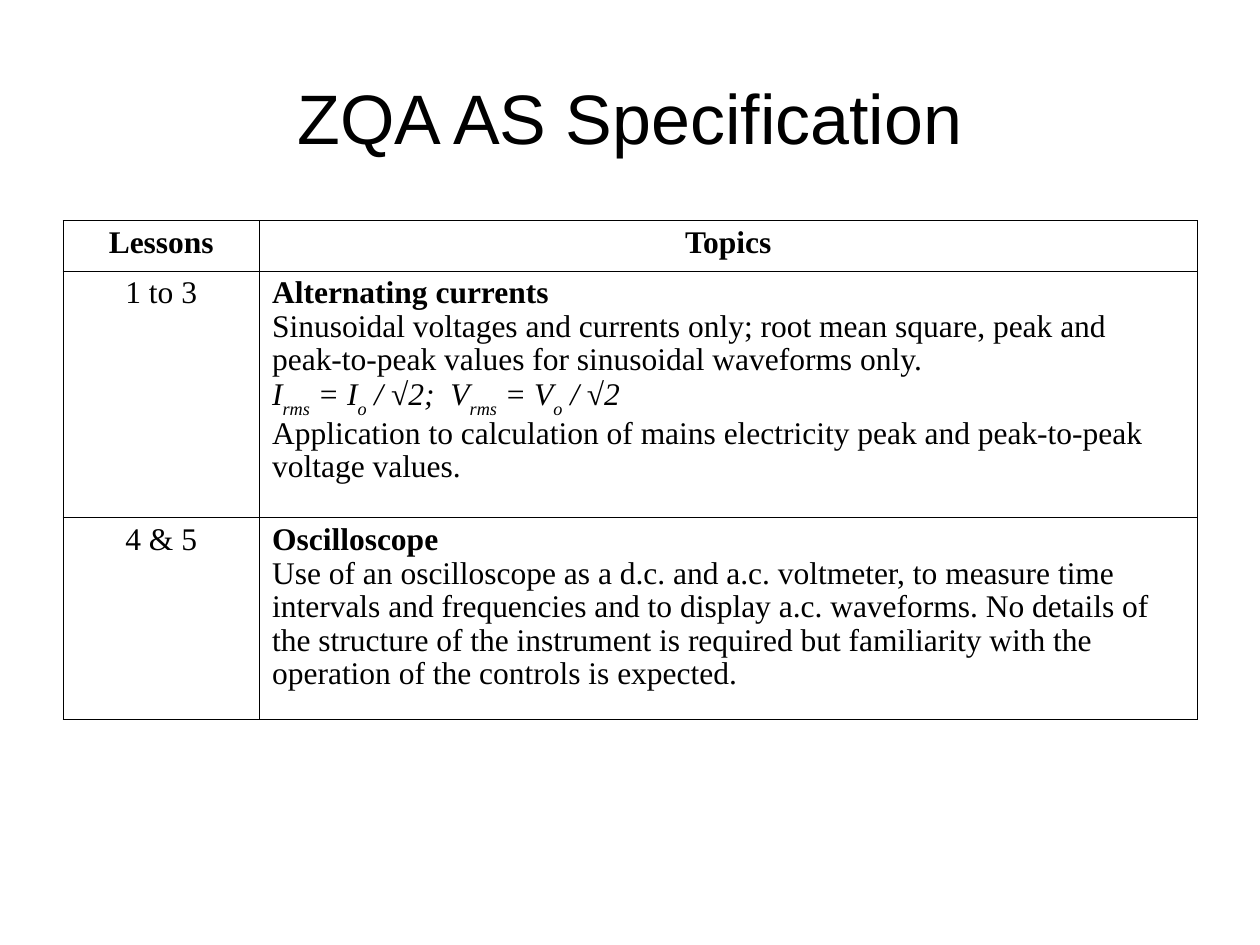
from lxml.etree import SubElement
from pptx import Presentation
from pptx.dml.color import RGBColor
from pptx.enum.text import MSO_ANCHOR, PP_ALIGN
from pptx.oxml.ns import qn
from pptx.util import Inches, Pt

BLACK = RGBColor(0x00, 0x00, 0x00)
HEADERS = ["Lessons", "Topics"]
FORMULA = [("I", 0), ("rms", 1), (" = I", 0), ("o", 1), (" / √2;  V", 0),
           ("rms", 1), (" = V", 0), ("o", 1), (" / √2", 0)]
LESSONS = [
    ("1 to 3", [
        "Alternating currents",
        "Sinusoidal voltages and currents only; root mean square, peak and "
        "peak-to-peak values for sinusoidal waveforms only.",
        FORMULA,
        "Application to calculation of mains electricity peak and "
        "peak-to-peak voltage values.",
    ]),
    ("4 & 5", [
        "Oscilloscope",
        "Use of an oscilloscope as a d.c. and a.c. voltmeter, to measure time "
        "intervals and frequencies and to display a.c. waveforms. No details of "
        "the structure of the instrument is required but familiarity with the "
        "operation of the controls is expected.",
    ]),
]
COL_WIDTHS = [1.56, 7.44]
ROW_HEIGHTS = [0.4, 1.96, 1.6]


def set_font(p, name, size, bold=False, italic=False):
    p.font.name = name
    p.font.size = Pt(size)
    p.font.bold = bold
    p.font.italic = italic
    p.font.color.rgb = BLACK


def add_title(s, text, x, y, w, h):
    tf = s.shapes.add_textbox(x, y, w, h).text_frame
    tf.word_wrap = True
    tf.vertical_anchor = MSO_ANCHOR.MIDDLE
    p = tf.paragraphs[0]
    p.text = text
    p.alignment = PP_ALIGN.CENTER
    set_font(p, "Arial", 40)


def set_borders(cell):
    tcPr = cell._tc.get_or_add_tcPr()
    for side in ("a:lnL", "a:lnR", "a:lnT", "a:lnB"):
        ln = SubElement(tcPr, qn(side), w=str(Pt(0.45)))
        fill = SubElement(ln, qn("a:solidFill"))
        SubElement(fill, qn("a:srgbClr"), val=str(BLACK))


def fill_cell(cell, lines, centered=False, bold_first=False):
    set_borders(cell)
    cell.fill.background()
    cell.margin_left = cell.margin_right = Inches(0.1)
    cell.margin_top = cell.margin_bottom = Inches(0.05)
    tf = cell.text_frame
    for i, line in enumerate(lines):
        p = tf.paragraphs[0] if i == 0 else tf.add_paragraph()
        p.alignment = PP_ALIGN.CENTER if centered else PP_ALIGN.LEFT
        p.line_spacing = 0.96
        is_formula = isinstance(line, list)
        set_font(p, "Times New Roman", 18, bold_first and i == 0, is_formula)
        for text, subscript in line if is_formula else [(line, 0)]:
            r = p.add_run()
            r.text = text
            if subscript:
                r.font._element.set("baseline", "-30000")


def add_topics_table(s, x, y, w, h):
    shape = s.shapes.add_table(len(ROW_HEIGHTS), len(COL_WIDTHS), x, y, w, h)
    table = shape.table
    table.first_row = table.horz_banding = False
    for col, width in zip(table.columns, COL_WIDTHS):
        col.width = Inches(width)
    for row, height in zip(table.rows, ROW_HEIGHTS):
        row.height = Inches(height)
    for i, header in enumerate(HEADERS):
        fill_cell(table.cell(0, i), [header], centered=True, bold_first=True)
    for i, (lesson, topics) in enumerate(LESSONS, start=1):
        fill_cell(table.cell(i, 0), [lesson], centered=True)
        fill_cell(table.cell(i, 1), topics, bold_first=True)


def main():
    prs = Presentation()
    prs.slide_width, prs.slide_height = Inches(10), Inches(7.5)
    s = prs.slides.add_slide(prs.slide_layouts[6])
    add_title(s, "ZQA AS Specification",
              Inches(0.5), Inches(0.3), Inches(9), Inches(1.25))
    add_topics_table(s, Inches(0.5), Inches(1.75),
                     Inches(sum(COL_WIDTHS)), Inches(sum(ROW_HEIGHTS)))
    prs.save("out.pptx")


if __name__ == "__main__":
    main()
